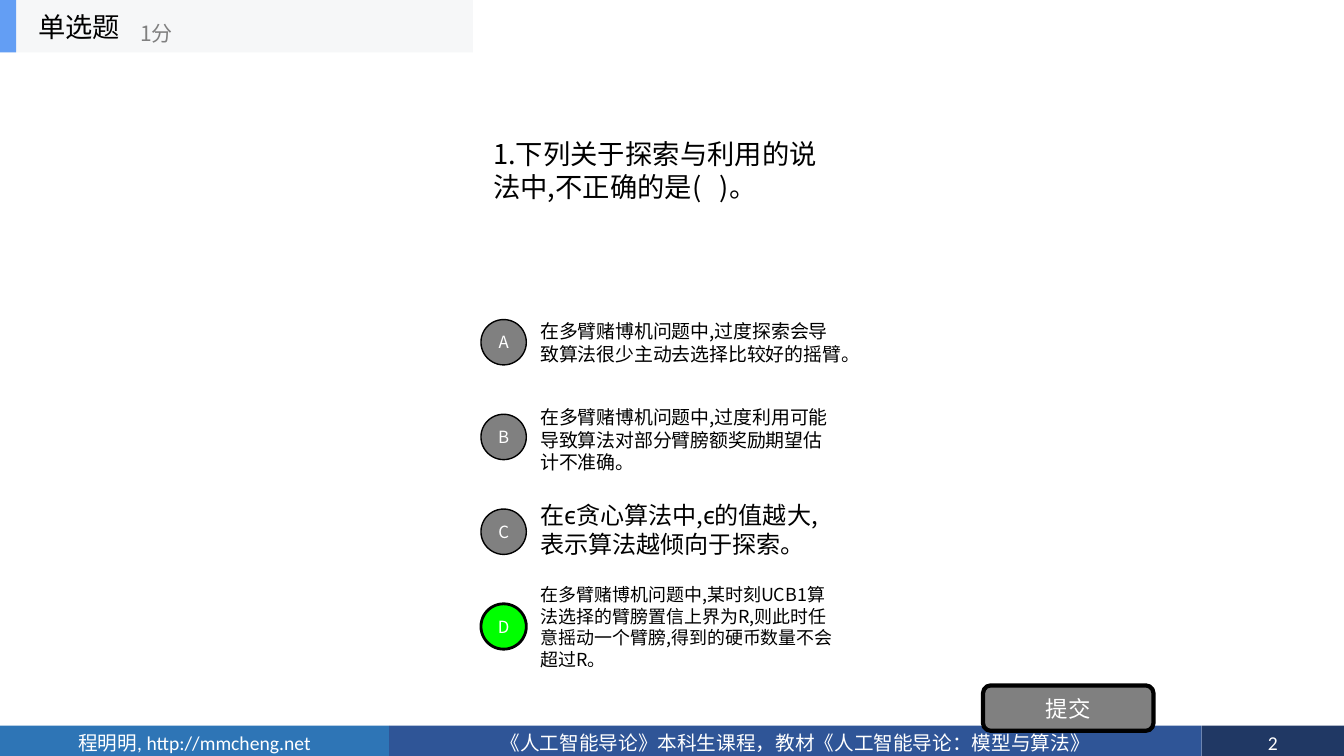
from dataclasses import dataclass

from pptx import Presentation
from pptx.dml.color import RGBColor
from pptx.enum.shapes import MSO_SHAPE
from pptx.enum.text import MSO_ANCHOR, MSO_AUTO_SIZE, PP_ALIGN
from pptx.oxml.ns import qn
from pptx.util import Inches, Pt

RECT, OVAL, ROUND = MSO_SHAPE.RECTANGLE, MSO_SHAPE.OVAL, MSO_SHAPE.ROUNDED_RECTANGLE
MIDDLE, FIXED = MSO_ANCHOR.MIDDLE, MSO_AUTO_SIZE.NONE
LEFT, CENTER = PP_ALIGN.LEFT, PP_ALIGN.CENTER


@dataclass(frozen=True)
class Theme:
    # Fonts
    han: str = "Noto Sans CJK SC"
    latin: str = "Calibri"
    # Colours
    black: str = "000000"
    white: str = "FFFFFF"
    gray: str = "808080"
    green: str = "00FF00"
    pale: str = "F6F7F8"
    accent: str = "639EF4"
    sky: str = "2E75B6"
    blue: str = "2F5597"
    navy: str = "203864"
    # Type sizes
    head: float = 19.5
    points: float = 15
    button: float = 16
    foot: float = 14
    badge: float = 12


THEME = Theme()

# Letter, text, size, left-to-right box, badge fill, badge line
CHOICES = [
    ("A", "在多臂赌博机问题中,过度探索会导致算法很少主动去选择比较好的摇臂。",
     13.5, (5.26, 3.01, 3.19, 0.78), THEME.gray, 1),
    ("B", "在多臂赌博机问题中,过度利用可能导致算法对部分臂膀额奖励期望估计不准确。",
     13.5, (5.26, 3.97, 3.15, 0.78), THEME.gray, 1),
    ("C", "在ϵ贪心算法中,ϵ的值越大,表示算法越倾向于探索。",
     17.2, (5.26, 4.91, 3.14, 0.68), THEME.gray, 1),
    ("D", "在多臂赌博机问题中,某时刻UCB1算法选择的臂膀置信上界为R,"
     "则此时任意摇动一个臂膀,得到的硬币数量不会超过R。",
     12.8, (5.26, 5.74, 3.19, 0.96), THEME.green, 2),
]

FOOTER = [
    ("程明明, http://mmcheng.net", 0, 3.86, THEME.sky),
    ("《人工智能导论》本科生课程，教材《人工智能导论：模型与算法》", 3.86, 8.06, THEME.blue),
    ("2", 11.92, 1.41, THEME.navy),
]


def apply(target, values):
    for name, value in values.items():
        setattr(target, name, value)


def write(shape, text, size, color, align=LEFT, font=THEME.han, pitch=None):
    """Fill a shape with one paragraph, centred vertically."""
    frame = shape.text_frame
    apply(frame, {"word_wrap": True, "auto_size": FIXED, "vertical_anchor": MIDDLE})
    para = frame.paragraphs[0]
    apply(para, {"alignment": align, "line_spacing": pitch})
    run = para.add_run()
    run.text = text
    apply(run.font, {"name": font, "size": Pt(size), "bold": False})
    run.font.color.rgb = RGBColor.from_string(color)
    east = run.font._element.makeelement(qn("a:ea"), {"typeface": THEME.han})
    run.font._element.find(qn("a:latin")).addnext(east)


def add_block(slide, kind, box, fill, line=0):
    shape = slide.shapes.add_shape(kind, *map(Inches, box))
    shape.shadow.inherit = False
    shape.fill.solid()
    shape.fill.fore_color.rgb = RGBColor.from_string(fill)
    if line:
        shape.line.color.rgb = RGBColor.from_string(THEME.black)
        shape.line.width = Pt(line)
    else:
        shape.line.fill.background()
    return shape


def add_label(slide, box, text, size, color=THEME.black, pitch=None):
    label = slide.shapes.add_textbox(*map(Inches, box))
    write(label, text, size, color, pitch=pitch)


def add_title(slide, box, text):
    title = slide.shapes.title
    places = ("left", "top", "width", "height")
    apply(title, dict(zip(places, map(Inches, box))))
    write(title, text, THEME.head, THEME.black, pitch=Pt(THEME.head * 1.18))


def add_choice(slide, row, choice):
    letter, text, size, box, fill, line = choice
    add_label(slide, box, text, size, pitch=Pt(size * 1.2))
    badge = add_block(slide, OVAL, (4.77, 3.17 + 0.94 * row, 0.45, 0.45), fill, line)
    apply(badge.text_frame, {"margin_left": 0, "margin_right": 0})
    write(badge, letter, THEME.badge, THEME.white, CENTER)


def main():
    deck = Presentation()
    apply(deck, {"slide_width": Inches(13.33), "slide_height": Inches(7.5)})
    slide = deck.slides.add_slide(deck.slide_layouts[5])

    # Footer bar
    for text, left, width, fill in FOOTER:
        bar = add_block(slide, RECT, (left, 7.2, width, 0.34), fill)
        write(bar, text, THEME.foot, THEME.white, CENTER, THEME.latin)

    # Question and choices
    add_title(slide, (4.79, 1.31, 3.62, 0.76),
              "1.下列关于探索与利用的说法中,不正确的是(   )。")
    for row, choice in enumerate(CHOICES):
        add_choice(slide, row, choice)

    # Submit button
    button = add_block(slide, ROUND, (9.75, 6.8, 1.69, 0.45), THEME.gray, 3)
    write(button, "提交", THEME.button, THEME.white, CENTER)

    # Header tab
    add_block(slide, RECT, (0, 0, 4.69, 0.52), THEME.pale)
    add_block(slide, RECT, (0, 0, 0.16, 0.52), THEME.accent)
    add_label(slide, (0.28, 0, 1.56, 0.52), "单选题", THEME.head)
    add_label(slide, (1.29, 0.12, 1.88, 0.42), "1分", THEME.points, THEME.gray)

    deck.save("out.pptx")


if __name__ == "__main__":
    main()
